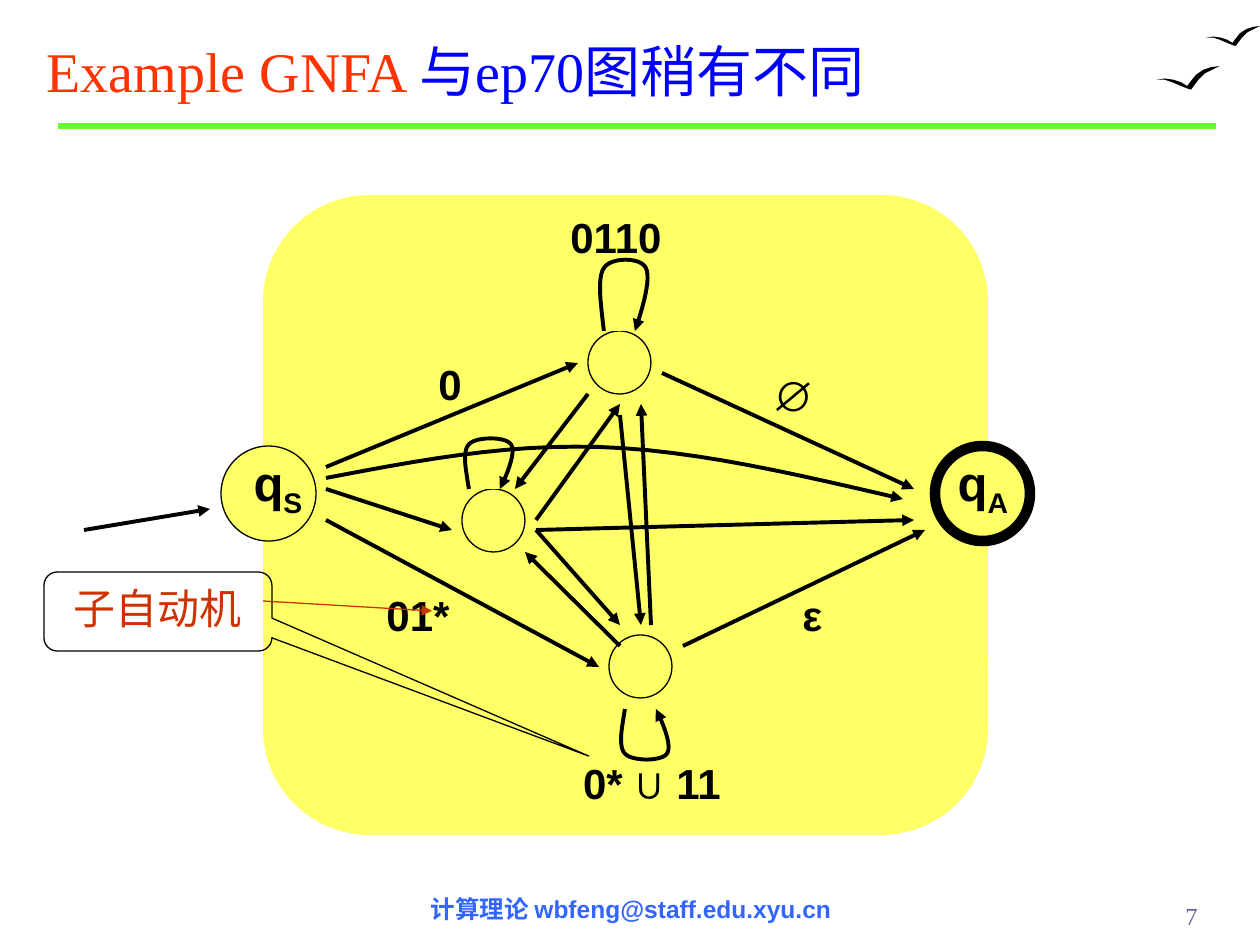
from lxml import etree
from pptx import Presentation
from pptx.dml.color import RGBColor
from pptx.enum.shapes import MSO_CONNECTOR, MSO_SHAPE
from pptx.enum.text import MSO_ANCHOR, MSO_AUTO_SIZE, PP_ALIGN
from pptx.oxml.ns import qn
from pptx.util import Pt

PX = 914400 / 126
BLACK = RGBColor(0x00, 0x00, 0x00)
YELLOW = RGBColor(0xFF, 0xFF, 0x66)
GREEN = RGBColor(0x66, 0xFF, 0x33)
ORANGE = RGBColor(0xFF, 0x33, 0x00)
RED = RGBColor(0xCC, 0x33, 0x00)
BLUE = RGBColor(0x00, 0x00, 0xFF)
FOOTER_BLUE = RGBColor(0x33, 0x66, 0xFF)
NUMBER_GRAY = RGBColor(0x66, 0x66, 0x99)
LEFT, CENTER, RIGHT = PP_ALIGN.LEFT, PP_ALIGN.CENTER, PP_ALIGN.RIGHT


def px(*lengths):
    return [round(length * PX) for length in lengths]


def style(shape, line_color=None, width=0.75, fill=None, arrow=False):
    """Set outline, fill and arrowhead, and remove the theme shadow."""
    if line_color is None:
        shape.line.fill.background()
    else:
        shape.line.color.rgb = line_color
        shape.line.width = Pt(width)
    if hasattr(shape, "fill"):
        if fill is None:
            shape.fill.background()
        else:
            shape.fill.solid()
            shape.fill.fore_color.rgb = fill
        shape.shadow.inherit = False
    else:
        etree.SubElement(shape._element.spPr, qn("a:effectLst"))
    if arrow:
        etree.SubElement(shape.line._get_or_add_ln(), qn("a:tailEnd"), type="triangle")


presentation = Presentation()
presentation.slide_width, presentation.slide_height = px(1260, 945)
slide = presentation.slides.add_slide(presentation.slide_layouts[5])
shapes = slide.shapes

# Two birds share one outline, drawn at two sizes
bird = [(0, 11), (7, 10), (14, 11), (20, 13), (25, 16), (28, 12), (32, 7), (38, 3), (44, 1),
        (51, 0), (45, 3), (39, 6), (34, 11), (31, 15), (28, 19), (25, 18), (20, 16), (13, 13),
        (7, 11)]
for left, top, size in [(1206, 26, 1.06), (1156, 66, 1.25)]:
    points = [px(left + x * size, top + y * size) for x, y in bird]
    builder = shapes.build_freeform(*points[0], scale=1)
    builder.add_line_segments(points[1:], close=True)
    style(builder.convert_to_shape(), fill=BLACK)

# Title and rule
title = shapes.title
title.left, title.top, title.width, title.height = px(34, 26, 1183, 84)
frame = title.text_frame
frame.auto_size = MSO_AUTO_SIZE.NONE
frame.vertical_anchor = MSO_ANCHOR.BOTTOM
paragraph = frame.paragraphs[0]
paragraph.alignment = LEFT
paragraph.font.size = Pt(32)
paragraph.font.name = "Times New Roman"
for text, color in [("Example GNFA ", ORANGE), ("与ep70图稍有不同", BLUE)]:
    run = paragraph.add_run()
    run.text = text
    run.font.color.rgb = color
rule = shapes.add_connector(MSO_CONNECTOR.STRAIGHT, *px(58, 126, 1216, 126))
style(rule, GREEN, 3)

# Automaton body and states
body = shapes.add_shape(MSO_SHAPE.FLOWCHART_ALTERNATE_PROCESS, *px(263, 195, 725, 640))
style(body, fill=YELLOW)
states = [  # left, top, diameter, outline width, fill
    (221, 446, 95, 0.75, YELLOW),
    (935, 446, 95, 6, YELLOW),
    (462, 489, 63, 0.75, None),
    (588, 331, 63, 0.75, YELLOW),
    (609, 635, 63, 0.75, YELLOW),
]
for left, top, diameter, width, fill in states:
    state = shapes.add_shape(MSO_SHAPE.OVAL, *px(left, top, diameter, diameter))
    style(state, BLACK, width, fill)

# Straight transitions
transitions = [
    (84, 530, 210, 509), (326, 489, 452, 530), (588, 394, 515, 489), (620, 646, 525, 552),
    (536, 530, 620, 625), (536, 520, 620, 404), (326, 467, 578, 363), (620, 415, 641, 625),
    (651, 625, 641, 404), (326, 520, 599, 667), (662, 373, 914, 489), (683, 646, 925, 530),
    (536, 530, 914, 520),
]
for ends in transitions:
    transition = shapes.add_connector(MSO_CONNECTOR.STRAIGHT, *px(*ends))
    style(transition, BLACK, 2.25, arrow=True)

# Curved transitions: self-loops from one Bézier outline, and the long arc
loop = [(0, 0), (-3, -26), (-7, -53), (0, -63), (7, -74), (37, -74), (42, -63), (47, -53),
        (40, -26), (31, 0)]
curves = [([(x + dx, y + dy * stretch) for dx, dy in loop], YELLOW)
          for x, y, stretch in [(604, 331, 1), (469, 489, 0.71), (625, 709, -0.71)]]
curves.append(([(326, 478), (415, 461), (503, 444), (599, 447), (696, 450), (799, 475),
                (903, 499)], None))
STEPS = 12
for controls, fill in curves:
    points = [px(*controls[0])]
    for first in range(0, len(controls) - 1, 3):
        segment = controls[first:first + 4]
        for step in range(1, STEPS + 1):
            t = step / STEPS
            weights = ((1 - t) ** 3, 3 * t * (1 - t) ** 2, 3 * t * t * (1 - t), t ** 3)
            points.append(px(*(sum(w * point[axis] for w, point in zip(weights, segment))
                               for axis in (0, 1))))
    builder = shapes.build_freeform(*points[0], scale=1)
    builder.add_line_segments(points[1:], close=False)
    style(builder.convert_to_shape(), BLACK, 2.25, fill, arrow=True)

# State names, transition labels, footer and page number
texts = [  # text, subscript, box, size, font, color, bold, alignment
    ("q", "S", (241, 446, 74, 79), 28, "Arial", BLACK, True, CENTER),
    ("q", "A", (945, 446, 76, 79), 28, "Arial", BLACK, True, CENTER),
    ("计算理论 wbfeng@staff.edu.xyu.cn", "", (358, 888, 546, 43), 14, "Arial", FOOTER_BLUE,
     True, CENTER),
    ("7", "", (1100, 895, 110, 39), 14, "Times New Roman", NUMBER_GRAY, False, RIGHT),
]
labels = [
    ("01*", (374, 583, 88, 63)), ("0", (426, 352, 48, 63)), ("0* ∪ 11", (568, 751, 168, 63)),
    ("0110", (557, 205, 118, 63)), ("∅", (760, 363, 58, 63)), ("ε", (790, 583, 43, 63)),
]
texts += [(text, "", box, 24, "Arial", BLACK, True, CENTER) for text, box in labels]
for text, subscript, box, size, font_name, color, bold, alignment in texts:
    text_box = shapes.add_textbox(*px(*box))
    text_box.text_frame.word_wrap = size == 14
    paragraph = text_box.text_frame.paragraphs[0]
    paragraph.alignment = alignment
    font = paragraph.font
    font.size, font.name, font.bold = Pt(size), font_name, bold
    font.color.rgb = color
    paragraph.add_run().text = text
    if subscript:
        run = paragraph.add_run()
        run.text = subscript
        run._r.get_or_add_rPr().set("baseline", "-25000")

# Callout for the sub-automaton
callout = shapes.add_shape(MSO_SHAPE.ROUNDED_RECTANGULAR_CALLOUT, *px(44, 572, 228, 79))
for index, value in enumerate((1.89, 1.83, 0.17)):
    callout.adjustments[index] = value
style(callout, BLACK)
callout.text_frame.vertical_anchor = MSO_ANCHOR.TOP
callout.text_frame.text = "子自动机"
paragraph = callout.text_frame.paragraphs[0]
paragraph.alignment = CENTER
paragraph.font.size = Pt(24)
paragraph.font.name = "Arial"
paragraph.font.color.rgb = RED
pointer = shapes.add_connector(MSO_CONNECTOR.STRAIGHT, *px(263, 601, 432, 611))
style(pointer, RED, arrow=True)

presentation.save("out.pptx")
